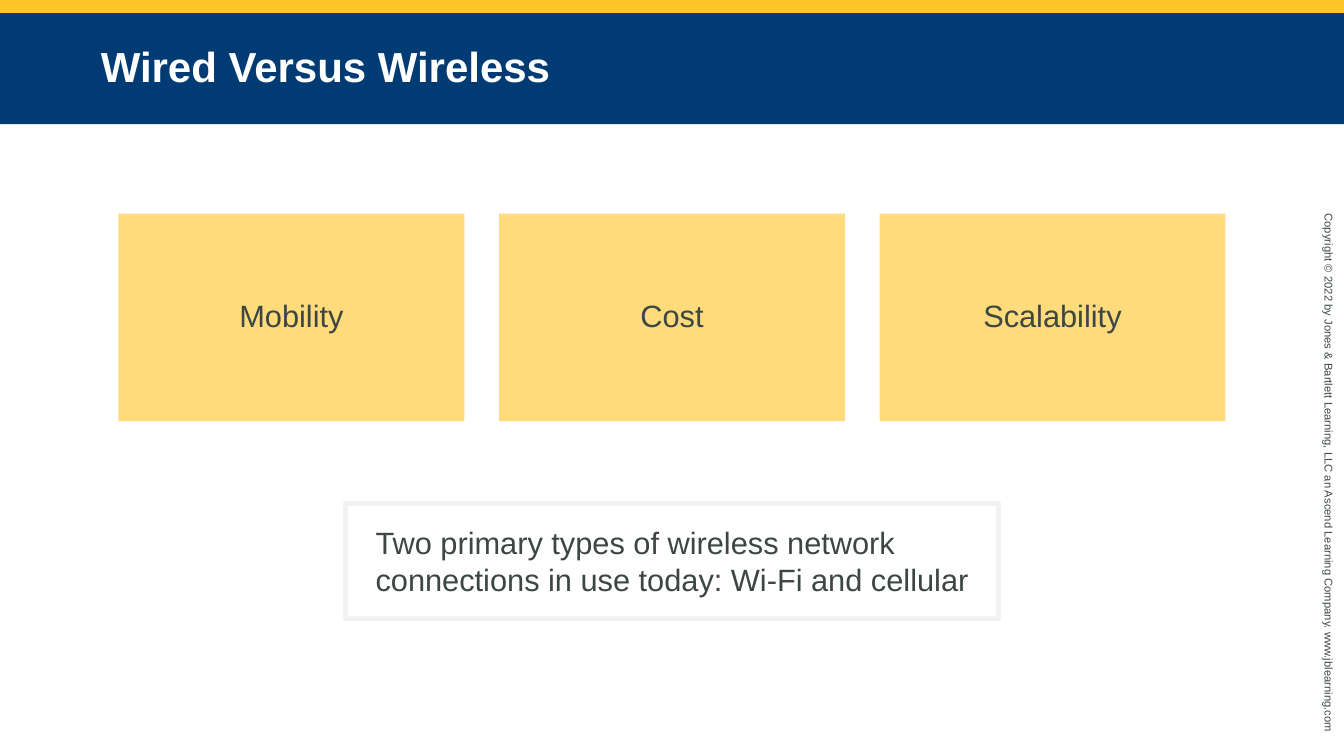
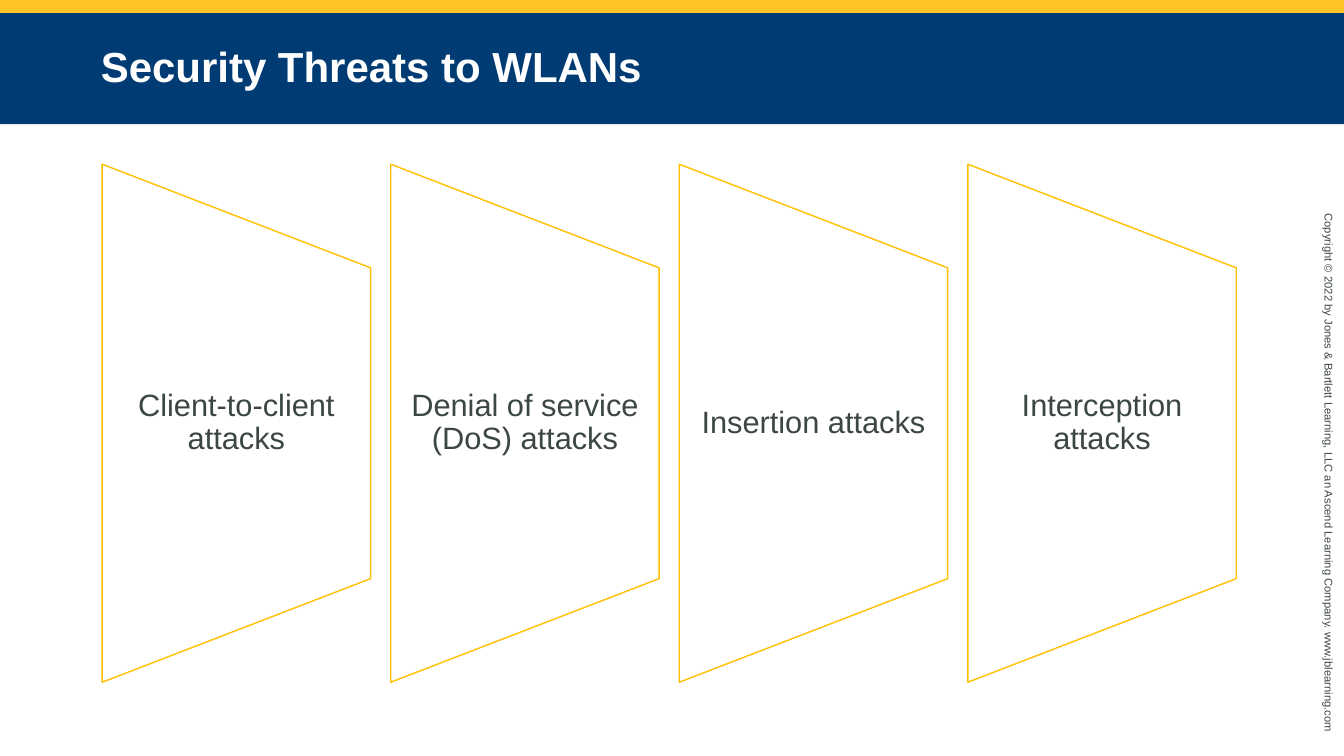
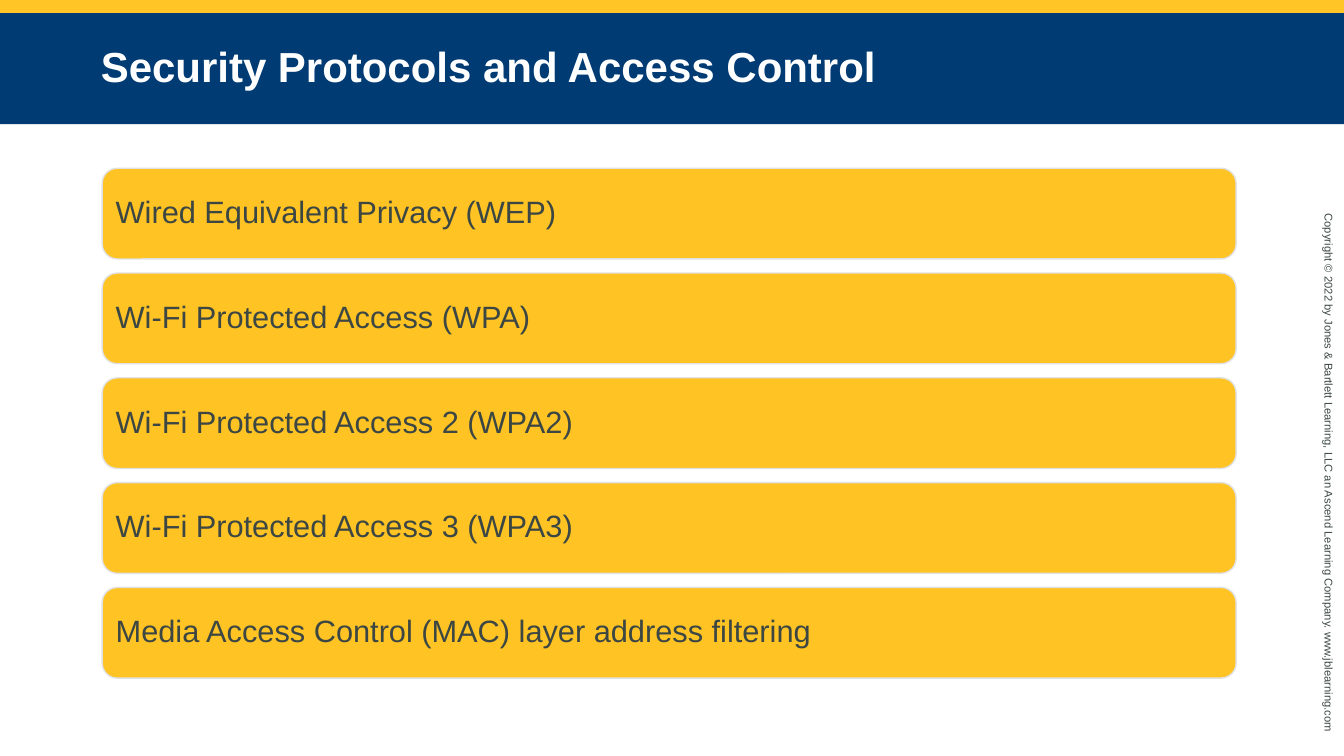
"""Build three slides on wireless network security."""
import dataclasses

import pptx
import pptx.dml.color
import pptx.enum.shapes
import pptx.enum.text
import pptx.util

Pt = pptx.util.Pt
Kind = pptx.enum.shapes.MSO_SHAPE
Align = pptx.enum.text.PP_ALIGN
Anchor = pptx.enum.text.MSO_ANCHOR


@dataclasses.dataclass(frozen=True)
class Theme:
    font: str = "Arial"
    ink: str = "3C4743"
    white: str = "FFFFFF"
    navy: str = "003B74"
    gold: str = "FFC425"
    card: str = "FFDB7C"
    edge: str = "FFC000"
    bar: str = "FFC324"
    rim: str = "E1E1E1"
    frame: str = "F2F2F2"
    head: int = 30
    body: int = 22
    small: int = 8


THEME = Theme()
WIDE, HIGH = 960, 540
BAND = 9.4
LEFT, SPAN = 73, 810

RIGHTS = ("Copyright © 2022 by Jones & Bartlett Learning, LLC an Ascend "
          "Learning Company. www.jblearning.com")
TITLES = ["Wired Versus Wireless", "Security Threats to WLANs",
          "Security Protocols and Access Control"]
FACTORS = ["Mobility", "Cost", "Scalability"]
NOTE = ("Two primary types of wireless network connections in use today: "
        "Wi-Fi and cellular")
THREATS = ["Client-to-client attacks", "Denial of service (DoS) attacks",
           "Insertion attacks", "Interception attacks"]
GUARDS = ["Wired Equivalent Privacy (WEP)", "Wi-Fi Protected Access (WPA)",
          "Wi-Fi Protected Access 2 (WPA2)", "Wi-Fi Protected Access 3 (WPA3)",
          "Media Access Control (MAC) layer address filtering"]


def tint(code):
    return pptx.dml.color.RGBColor.from_string(code)


def write(shape, text, size=THEME.body, color=THEME.ink, bold=False,
          align=Align.LEFT, anchor=Anchor.MIDDLE, pad=(6.5,) * 4, lead=0.9):
    frame = shape.text_frame
    frame.text = text
    frame.word_wrap = True
    frame.auto_size = pptx.enum.text.MSO_AUTO_SIZE.NONE
    frame.vertical_anchor = anchor
    (frame.margin_left, frame.margin_top,
     frame.margin_right, frame.margin_bottom) = map(Pt, pad)
    para = frame.paragraphs[0]
    para.alignment = align
    para.line_spacing = lead
    font = para.runs[0].font
    font.name, font.size, font.bold = THEME.font, Pt(size), bold
    font.color.rgb = tint(color)


def draw(slide, kind, box, fill=None, line=None, width=1):
    shape = slide.shapes.add_shape(kind, *map(Pt, box))
    shape.shadow.inherit = False
    if fill:
        shape.fill.solid()
        shape.fill.fore_color.rgb = tint(fill)
    else:
        shape.fill.background()
    if line:
        shape.line.color.rgb = tint(line)
        shape.line.width = Pt(width)
    else:
        shape.line.fill.background()
    return shape


def dress(layout, slide):
    for holder in list(layout.placeholders):
        if holder.placeholder_format.idx:
            holder.element.getparent().remove(holder.element)
    band = draw(slide, Kind.RECTANGLE, (0, 0, WIDE, BAND), THEME.gold)
    rights = slide.shapes.add_textbox(*map(Pt, (751.7, 334.1, 394.6, 17.3)))
    rights.rotation = 90
    write(rights, RIGHTS, THEME.small, anchor=Anchor.TOP,
          pad=(7.2, 3.6, 7.2, 3.6), lead=1)
    for shape in (band, rights):
        layout.shapes.element.append(shape.element)


def head(slide, text):
    title = slide.shapes.title
    title.left, title.top, title.width, title.height = map(
        Pt, (0, BAND, WIDE, 79.2))
    title.fill.solid()
    title.fill.fore_color.rgb = tint(THEME.navy)
    write(title, text, THEME.head, THEME.white, True,
          pad=(72, 3.6, 72, 3.6), lead=0.95)


def compare(slide):
    wide, high, gap = 247.1, 148.3, 24.7
    count = len(FACTORS)
    left = (WIDE - count * wide - (count - 1) * gap) / 2
    for i, text in enumerate(FACTORS):
        box = (left + i * (wide + gap), 152.6, wide, high)
        card = draw(slide, Kind.RECTANGLE, box, THEME.card)
        write(card, text, align=Align.CENTER)
    wide = 466.6
    note = draw(slide, Kind.RECTANGLE, ((WIDE - wide) / 2, 359.6, wide, 82.2),
                line=THEME.frame, width=4)
    write(note, NOTE, anchor=Anchor.TOP, pad=(21.6, 14.4, 7.2, 14.4), lead=1)


def warn(slide):
    top, high, gap = 117.3, 370, 14.4
    count = len(THREATS)
    wide = (SPAN - (count - 1) * gap) / count
    for i, text in enumerate(THREATS):
        left = LEFT + i * (wide + gap)
        turn = (left + (wide - high) / 2, top + (high - wide) / 2, high, wide)
        panel = draw(slide, Kind.FLOWCHART_MANUAL_OPERATION, turn,
                     line=THEME.edge)
        panel.rotation = 270
        box = (left, top + high / 5, wide, high * 3 / 5)
        label = slide.shapes.add_textbox(*map(Pt, box))
        write(label, text, align=Align.CENTER, pad=(10.8, 0, 10.8, 0))


def guard(slide):
    top, high, gap = 120.2, 64.8, 10.05
    for i, text in enumerate(GUARDS):
        box = (LEFT, top + i * (high + gap), SPAN, high)
        bar = draw(slide, Kind.ROUNDED_RECTANGLE, box, THEME.bar, THEME.rim)
        write(bar, text)


def main():
    deck = pptx.Presentation()
    deck.slide_width, deck.slide_height = Pt(WIDE), Pt(HIGH)
    layout = deck.slide_layouts[5]
    slides = [deck.slides.add_slide(layout) for _ in TITLES]
    dress(layout, slides[0])
    for slide, title, fill in zip(slides, TITLES, (compare, warn, guard)):
        head(slide, title)
        fill(slide)
    deck.save("out.pptx")


if __name__ == "__main__":
    main()
